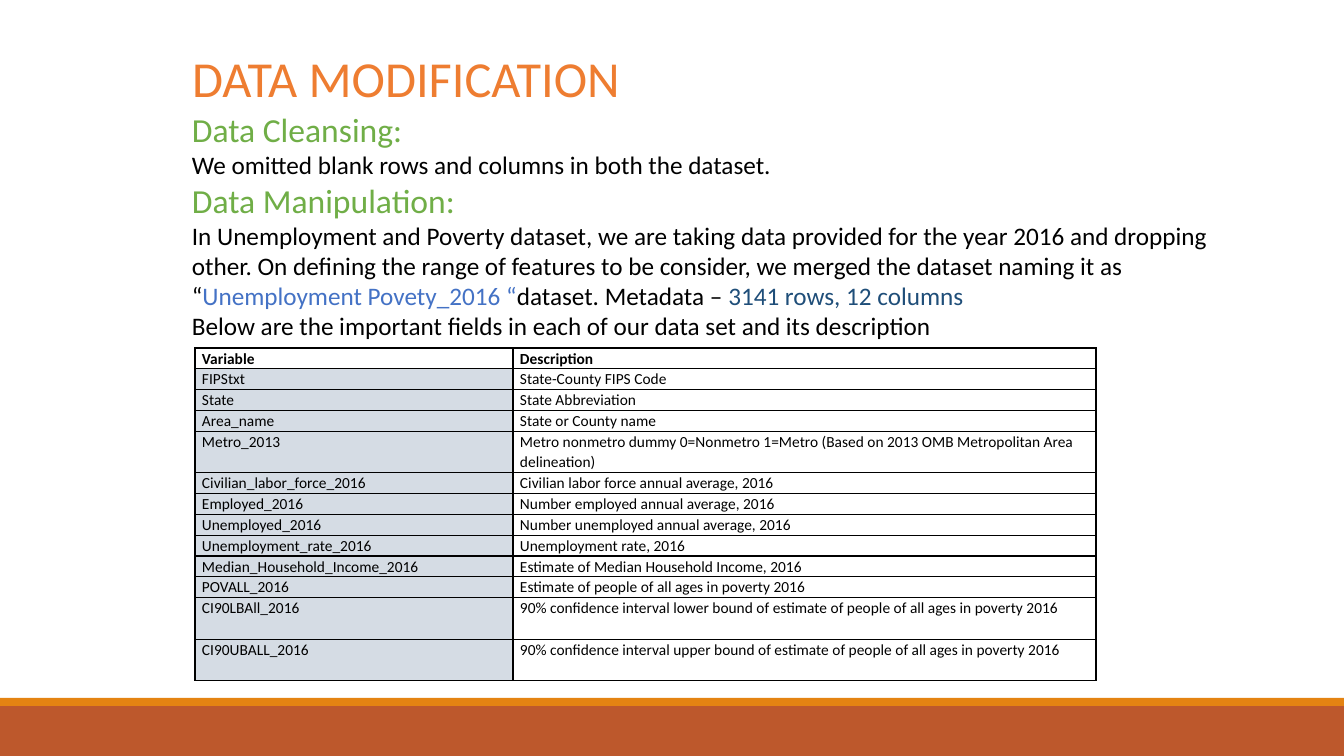
"""Build the data modification slide with its table of fields."""
import pptx
import pptx.util
import pptx.dml.color
import pptx.enum.shapes
import pptx.enum.text
import pptx.oxml
import pptx.oxml.ns

FONT = "Calibri"
COLORS = {
    "title": "EE7D31", "head": "70AE47", "text": "000000", "name": "4472C5",
    "count": "1F4E79", "field": "D5DCE4", "strip": "E48312", "bar": "BD582C",
}
TITLE = "DATA MODIFICATION"
BODY = [
    (24, [("Data Cleansing:", "head")]),
    (18, [("We omitted blank rows and columns in both the dataset.", "text")]),
    (24, [("Data Manipulation:", "head")]),
    (18, [("In Unemployment and Poverty dataset, we are taking data provided "
           "for the year 2016 and dropping", "text")]),
    (18, [("other. On defining the range of features to be consider, we merged "
           "the dataset naming it as", "text")]),
    (18, [("“", "text"), ("Unemployment Povety_2016 “", "name"),
          ("dataset. Metadata – ", "text"), ("3141 rows, 12 columns", "count")]),
    (18, [("Below are the important fields in each of our data set and its "
           "description", "text")]),
]
FIELDS = [
    ("Variable", "Description", 1),
    ("FIPStxt", "State-County FIPS Code", 1),
    ("State", "State Abbreviation", 1),
    ("Area_name", "State or County name", 1),
    ("Metro_2013", "Metro nonmetro dummy 0=Nonmetro 1=Metro (Based on 2013 OMB "
     "Metropolitan Area delineation)", 2),
    ("Civilian_labor_force_2016", "Civilian labor force annual average, 2016", 1),
    ("Employed_2016", "Number employed annual average, 2016", 1),
    ("Unemployed_2016", "Number unemployed annual average, 2016", 1),
    ("Unemployment_rate_2016", "Unemployment rate, 2016", 1),
    ("Median_Household_Income_2016", "Estimate of Median Household Income, 2016", 1),
    ("POVALL_2016", "Estimate of people of all ages in poverty 2016", 1),
    ("CI90LBAll_2016", "90% confidence interval lower bound of estimate of people "
     "of all ages in poverty 2016", 2),
    ("CI90UBALL_2016", "90% confidence interval upper bound of estimate of people "
     "of all ages in poverty 2016", 2),
]
WIDE, HIGH = 1344, 756
BARS = [("bar", 706, 50), ("strip", 698, 8)]
COLS = [318, 583]
TABLE = (195, 348, sum(COLS), 333)


def px(size):
    return round(size * 914400 / 100.8)


def color(key):
    return pptx.dml.color.RGBColor.from_string(COLORS[key])


def style(font, size, key, bold=False):
    font.name = FONT
    font.size = pptx.util.Pt(size)
    font.bold = bold
    font.color.rgb = color(key)


def border(cell):
    props = cell._tc.get_or_add_tcPr()
    for at, side in enumerate(("lnL", "lnR", "lnT", "lnB")):
        props.insert(at, pptx.oxml.parse_xml(
            f'<a:{side} {pptx.oxml.ns.nsdecls("a")} w="12700"><a:solidFill>'
            f'<a:srgbClr val="{COLORS["text"]}"/></a:solidFill></a:{side}>'))


def add_bars(slide):
    for key, top, high in BARS:
        bar = slide.shapes.add_shape(
            pptx.enum.shapes.MSO_SHAPE.RECTANGLE, 0, px(top), px(WIDE), px(high))
        bar.shadow.inherit = False
        bar.fill.solid()
        bar.fill.fore_color.rgb = color(key)
        bar.line.fill.background()


def add_title(slide):
    title = slide.shapes.title
    title.left, title.top, title.width, title.height = map(px, (182, 42, 1123, 72))
    frame = title.text_frame
    frame.text = TITLE
    frame.vertical_anchor = pptx.enum.text.MSO_ANCHOR.TOP
    frame.auto_size = pptx.enum.text.MSO_AUTO_SIZE.NONE
    line = frame.paragraphs[0]
    line.alignment = pptx.enum.text.PP_ALIGN.LEFT
    style(line.font, 36, "title")


def add_body(slide):
    box = slide.shapes.add_textbox(*map(px, (182, 104, 1123, 243)))
    frame = box.text_frame
    frame.word_wrap = True
    for at, (size, parts) in enumerate(BODY):
        line = frame.add_paragraph() if at else frame.paragraphs[0]
        for text, key in parts:
            run = line.add_run()
            run.text = text
            if len(parts) > 1:
                style(run.font, size, key)
        if len(parts) == 1:
            style(line.font, size, parts[0][1])


def add_fields(slide):
    table = slide.shapes.add_table(len(FIELDS), len(COLS), *map(px, TABLE)).table
    table.first_row = table.horz_banding = False
    for col, wide in zip(table.columns, COLS):
        col.width = px(wide)
    unit = TABLE[3] / sum(lines for *_, lines in FIELDS)
    for at, (*texts, lines) in enumerate(FIELDS):
        table.rows[at].height = px(unit * lines)
        for col, text in enumerate(texts):
            cell = table.cell(at, col)
            cell.margin_left = cell.margin_right = px(7)
            cell.margin_top = cell.margin_bottom = 0
            if at and col == 0:
                cell.fill.solid()
                cell.fill.fore_color.rgb = color("field")
            else:
                cell.fill.background()
            border(cell)
            cell.text = text
            line = cell.text_frame.paragraphs[0]
            line.line_spacing = 1.07
            style(line.font, 11, "text", at == 0)


def main():
    deck = pptx.Presentation()
    deck.slide_width, deck.slide_height = px(WIDE), px(HIGH)
    slide = deck.slides.add_slide(deck.slide_layouts[5])
    add_bars(slide)
    add_title(slide)
    add_body(slide)
    add_fields(slide)
    deck.save("out.pptx")


if __name__ == "__main__":
    main()
